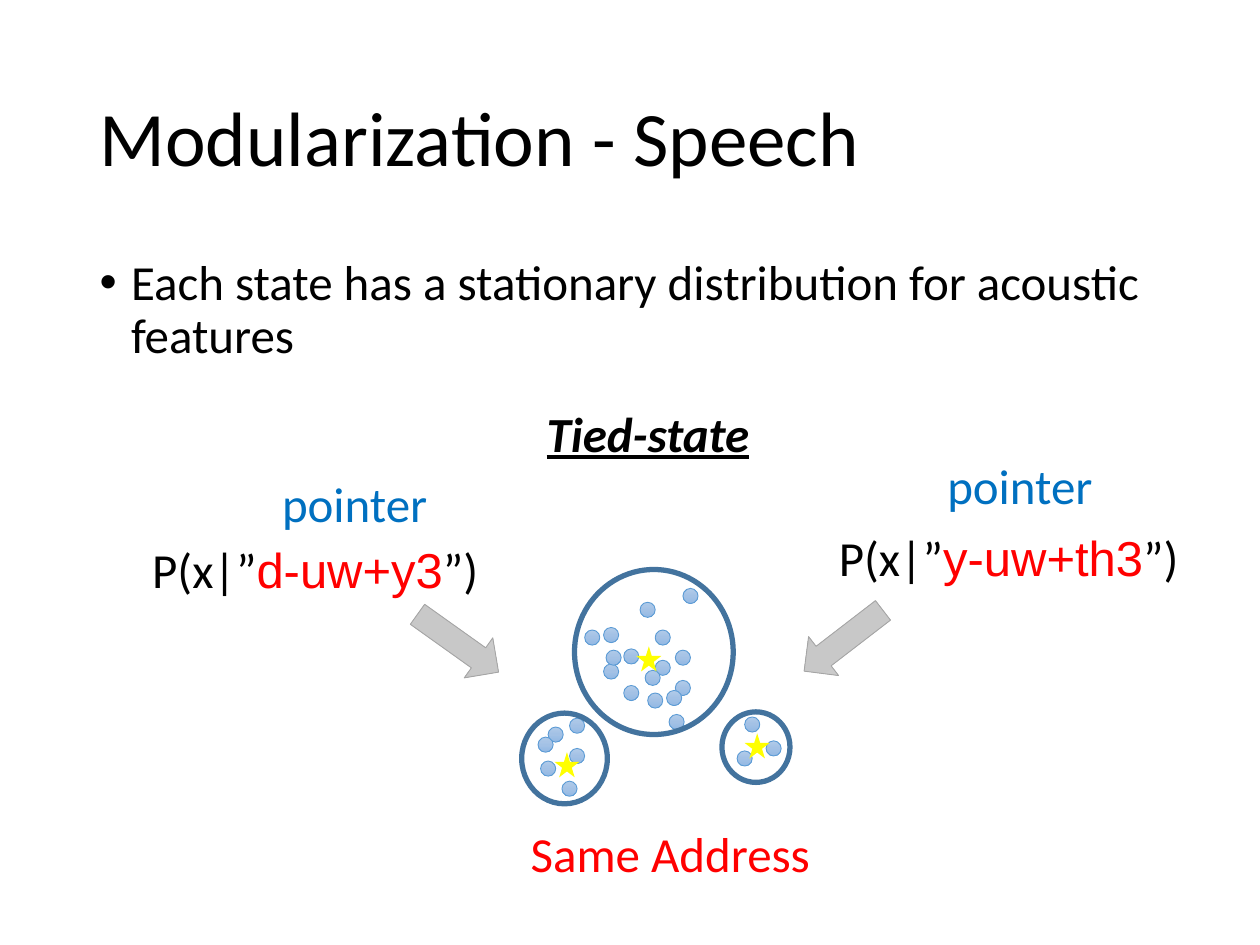
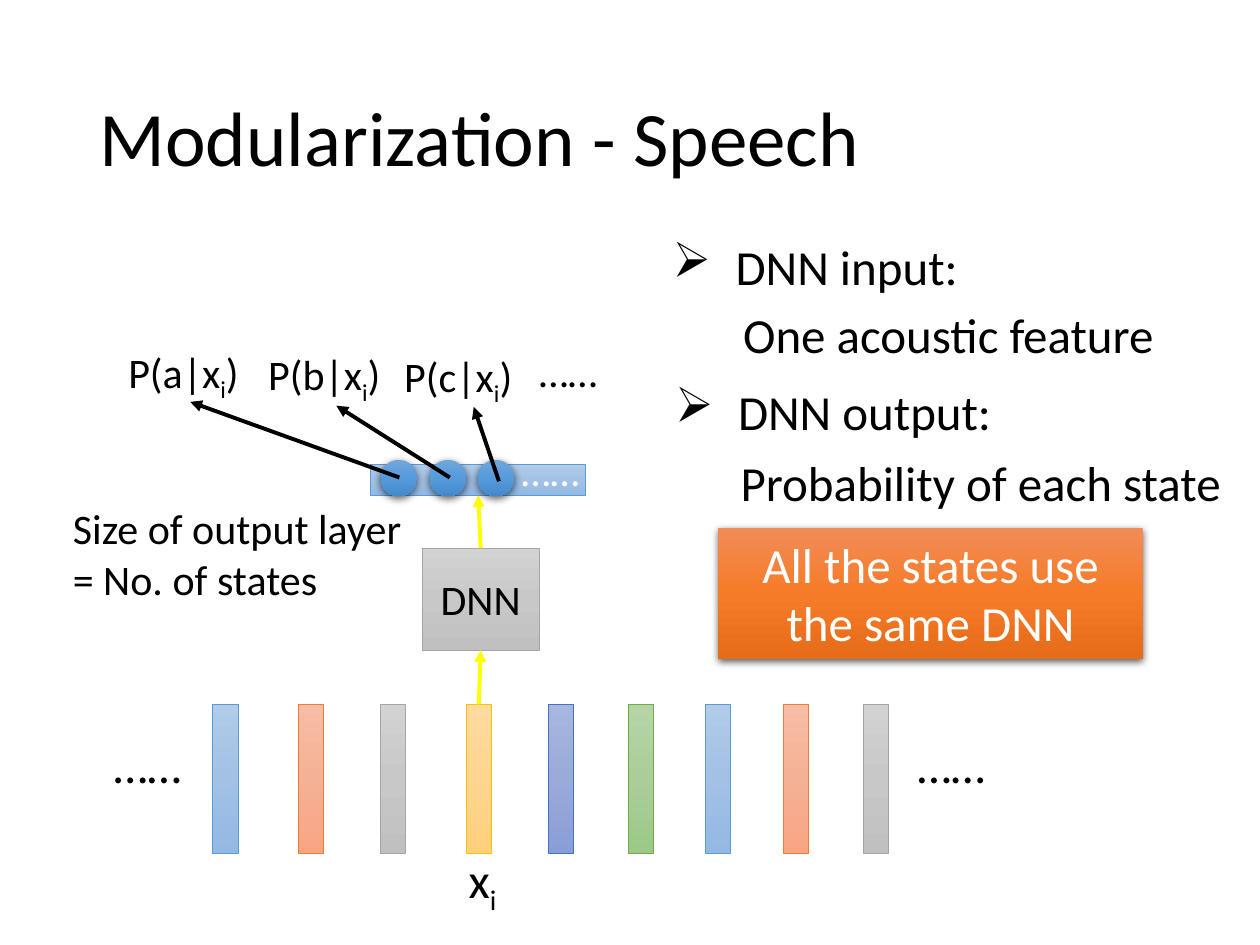
from itertools import cycle

from lxml import etree
from pptx import Presentation
from pptx.dml.color import RGBColor
from pptx.enum.shapes import MSO_CONNECTOR, MSO_SHAPE
from pptx.enum.text import MSO_ANCHOR, PP_ALIGN
from pptx.oxml.ns import qn
from pptx.util import Inches, Pt

LEFT, MID = PP_ALIGN.LEFT, PP_ALIGN.CENTER
TOP, HALF = MSO_ANCHOR.TOP, MSO_ANCHOR.MIDDLE
RECT, OVAL = MSO_SHAPE.RECTANGLE, MSO_SHAPE.OVAL
STAR, ARROW = MSO_SHAPE.STAR_5_POINT, MSO_SHAPE.RIGHT_ARROW
LINE = MSO_CONNECTOR.STRAIGHT

WIDE, HIGH = Inches(10), Inches(7.5)
COLS, ROWS = 100, 75
HEAD = "Modularization - Speech"
HUES = {
    "black": "000000", "white": "FFFFFF", "red": "FF0000",
    "link": "0070C0", "yellow": "FFFF00", "ring": "43739E",
    "blue": "5B9BD5", "orange": "ED7D31", "gray": "A5A5A5",
    "gold": "FFC000", "indigo": "4472C4", "green": "70AD47",
}
FADES = {
    "blue": ("B1CBE9", "A3C1E5", "93B9E4"),
    "orange": ("F7BDA5", "F5B196", "F8A582"),
    "gray": ("D2D2D2", "C8C8C8", "C0C0C0"),
    "gold": ("FFDB9E", "FFD590", "FFD07C"),
    "indigo": ("A8B7DF", "9AABD9", "889ED7"),
    "green": ("B5D5A7", "AACE9A", "9CC987"),
    "node": ("71A6DB", "559BDB", "448ACA"),
    "callout": ("F18C57", "F67B28", "E56C19"),
}
BIG, SMALL = {"size": Pt(28)}, {"size": Pt(24)}
SUB = {"base": -25}
RED = {"color": "red", "name": "Arial"}

CLUSTERS = [
    ((45.6, 45.2, 12.6, 13.1), (50.5, 51.3),
     [(50.8, 47.8), (47.9, 52.7), (52, 52.4), (47.9, 49.8), (49.5, 51.5),
      (46.4, 50), (54.2, 46.7), (52, 50), (51.4, 55), (49.5, 54.4),
      (53.6, 54), (51.2, 53.2), (48.1, 51.6), (53.6, 51.6), (53.1, 56.7),
      (52.9, 54.8)]),
    ((41.4, 56.6, 6.8, 7.2), (44, 59.7),
     [(43.5, 57.7), (42.9, 60.4), (45.2, 59.4), (42.7, 58.5), (45.2, 57),
      (44.6, 62)]),
    ((57.3, 56.5, 5.4, 5.6), (59.1, 58.2),
     [(60.8, 58.8), (59.1, 56.9), (58.5, 59.6)]),
]
BARS = (16.9, 23.7, 30.2, 37, 43.5, 49.9, 56, 62.2, 68.5)
NODES = (30.2, 34.1, 37.9)


def rgb(hue):
    return RGBColor.from_string(HUES[hue])


def spot(x, y):
    return int(WIDE * x / COLS), int(HIGH * y / ROWS)


def place(box):
    return spot(*box[:2]) + spot(*box[2:])


def apply(item, look):
    for key, value in look.items():
        setattr(item, key, value)


def add_node(home, tag, **attrs):
    return etree.SubElement(home, qn("a:" + tag),
                            {key: str(value) for key, value in attrs.items()})


def write(frame, rows, look, form=None, mark=None):
    frame.word_wrap = True
    for at, row in enumerate(rows):
        para = frame.add_paragraph() if at else frame.paragraphs[0]
        apply(para, form or {})
        for text, extra in row:
            run = para.add_run()
            run.text = text
            font = {"name": "Calibri", "color": "black", **look, **extra}
            run.font.color.rgb = rgb(font.pop("color"))
            base = font.pop("base", None)
            apply(run.font, font)
            if base:
                run._r.get_or_add_rPr().set("baseline", str(base * 1000))
        if mark:
            sign, indent = mark
            props = para._p.get_or_add_pPr()
            props.set("marL", str(Inches(indent)))
            props.set("indent", str(-Inches(indent)))
            add_node(props, "buChar", char=sign)


def label(slide, box, rows, look=BIG, align=LEFT, mark=None):
    if isinstance(rows, str):
        rows = [[(rows, {})]]
    text = slide.shapes.add_textbox(*place(box))
    write(text.text_frame, rows, look, {"alignment": align}, mark)


def fade(shape, tone):
    shape.fill.gradient()
    shape.fill.gradient_angle = 270
    stops = next(shape._element.spPr.iter(qn("a:gsLst")))
    for stop in list(stops):
        stops.remove(stop)
    for at, hue in enumerate(FADES[tone]):
        add_node(add_node(stops, "gs", pos=at * 50000), "srgbClr", val=hue)


def draw(slide, kind, box, tone=None, fill=None, edge=None, width=0.5, turn=0):
    shape = slide.shapes.add_shape(kind, *place(box))
    shape.shadow.inherit = False
    shape.rotation = turn
    if tone:
        fade(shape, tone)
    elif fill:
        shape.fill.solid()
        shape.fill.fore_color.rgb = rgb(fill)
    else:
        shape.fill.background()
    if edge:
        shape.line.color.rgb = rgb(edge)
        shape.line.width = Pt(width)
    else:
        shape.line.fill.background()
    return shape


def tint(slide, kind, box, tone, turn=0):
    return draw(slide, kind, box, tone, edge=tone, turn=turn)


def raised(slide, kind, box, tone):
    shape = draw(slide, kind, box, tone)
    cast = add_node(shape._element.spPr.find(qn("a:effectLst")), "outerShdw",
                    blurRad=Pt(4.5), dist=Pt(1.5), dir=5400000,
                    algn="ctr", rotWithShape=0)
    add_node(add_node(cast, "srgbClr", val=HUES["black"]), "alpha", val=63000)
    return shape


def arrow(slide, hue, start=(0, 0), end=(0, 0), join=None):
    line = slide.shapes.add_connector(LINE, *spot(*start), *spot(*end))
    if join:
        source, target = join
        line.begin_connect(source, 0)
        line.end_connect(target, 2)
    line.line.color.rgb = rgb(hue)
    line.line.width = Pt(2.25)
    add_node(line.line._get_or_add_ln(), "tailEnd", type="triangle")
    add_node(line._element.spPr, "effectLst")


def titled(deck, layout):
    slide = deck.slides.add_slide(deck.slide_layouts[layout])
    title = slide.shapes.title
    apply(title, dict(zip(("left", "top", "width", "height"),
                          place((6.9, 4, 86.2, 14.5)))))
    title.text_frame.vertical_anchor = HALF
    write(title.text_frame, [[(HEAD, {})]], {"size": Pt(44)},
          {"alignment": LEFT, "line_spacing": 0.9})
    return slide


def cluster(slide, ring, star, dots):
    for dot in dots:
        tint(slide, OVAL, (*dot, 1.2, 1.2), "blue")
    draw(slide, OVAL, ring, edge="ring", width=3)
    draw(slide, STAR, (*star, 2, 2), fill="yellow")


def tied(deck):
    slide = titled(deck, 1)
    body = slide.placeholders[1]
    apply(body, dict(zip(("left", "top", "width", "height"),
                         place((6.9, 20, 86.2, 47.6)))))
    fact = "Each state has a stationary distribution for acoustic features"
    write(body.text_frame, [[(fact, {})]], BIG,
          {"line_spacing": 0.9, "space_before": Pt(10)}, ("•", 0.25))
    for x, y, state in ((65.6, 41.4, "y-uw+th3"), (11.1, 42.3, "d-uw+y3")):
        label(slide, (x, y, 30.4, 5.7),
              [[("P(x|”", {}), (state, RED), ("”)", {})]])
    for group in CLUSTERS:
        cluster(slide, *group)
    label(slide, (42.4, 31.5, 19, 5.7), "Tied-state",
          {**BIG, "bold": True, "italic": True, "underline": True})
    label(slide, (36.7, 64.9, 33, 5.7), "Same Address",
          {**BIG, "color": "red"}, MID)
    for x, y, turn in ((32.4, 49.1, 35.5), (63, 48.9, 142.4)):
        tint(slide, ARROW, (x, y, 7.9, 3.9), "gray", turn)
    for x, y in ((19.5, 37.1), (72.3, 35.7)):
        label(slide, (x, y, 17.3, 5.7), "pointer",
              {**BIG, "color": "link"}, MID)


def network(deck):
    slide = titled(deck, 5)
    tones = cycle(("blue", "orange", "gray", "gold", "indigo", "green"))
    bars = [tint(slide, RECT, (x, 55.9, 2, 11.8), tone)
            for x, tone in zip(BARS, tones)]
    for x in (6.7, 70.5):
        label(slide, (x, 57.8, 10, 5.7), "……", align=MID)
    label(slide, (35, 66.9, 6.6, 5.7), [[("x", {}), ("i", SUB)]], align=MID)
    label(slide, (4.8, 39.4, 30.5, 9.1),
          [[("Size of output layer", {})], [("= No. of states", {})]], SMALL)

    dnn = tint(slide, RECT, (33.5, 43.5, 9.3, 8.1), "gray")
    dnn.text_frame.vertical_anchor = HALF
    write(dnn.text_frame, [[("DNN", {})]], SMALL, {"alignment": MID})
    layer = tint(slide, RECT, (29.4, 36.9, 17.1, 2.4), "blue")
    arrow(slide, "yellow", join=(dnn, layer))
    arrow(slide, "yellow", join=(bars[3], dnn))

    for x, y, text in ((52.4, 18.3, "DNN input:"), (52.6, 29.8, "DNN output:")):
        label(slide, (x, y, 30.3, 5.7), text, mark=("➢", 0.5))
    label(slide, (58, 23.7, 36, 5.7), "One acoustic feature")
    label(slide, (57.8, 35.4, 42.3, 5.7), "Probability of each state")

    for x, y, state in ((9.2, 27, "a"), (20.3, 27.2, "b"), (31.1, 27.3, "c")):
        label(slide, (x, y, 13, 5),
              [[(f"P({state}|x", {}), ("i", SUB), (")", {})]], SMALL)
    label(slide, (41.8, 26.9, 9.1, 5), "……", SMALL)
    for x in NODES:
        raised(slide, OVAL, (x, 36.5, 2.9, 2.9), "node")
    label(slide, (40.4, 34.8, 9.1, 5), "……", {**SMALL, "color": "white"})
    for start, end in (((31.7, 37.9), (15.1, 31.9)),
                       ((35.7, 37.9), (26.7, 32.2)),
                       ((39.6, 38.2), (37.6, 32.3))):
        arrow(slide, "black", start, end)

    note = raised(slide, RECT, (57, 41.9, 33.7, 10.4), "callout")
    note.text_frame.vertical_anchor = TOP
    write(note.text_frame, [[("All the states use the same DNN", {})]],
          {**BIG, "color": "white"}, {"alignment": MID})


def main():
    deck = Presentation()
    deck.slide_width, deck.slide_height = WIDE, HIGH
    tied(deck)
    network(deck)
    deck.save("out.pptx")


if __name__ == "__main__":
    main()
